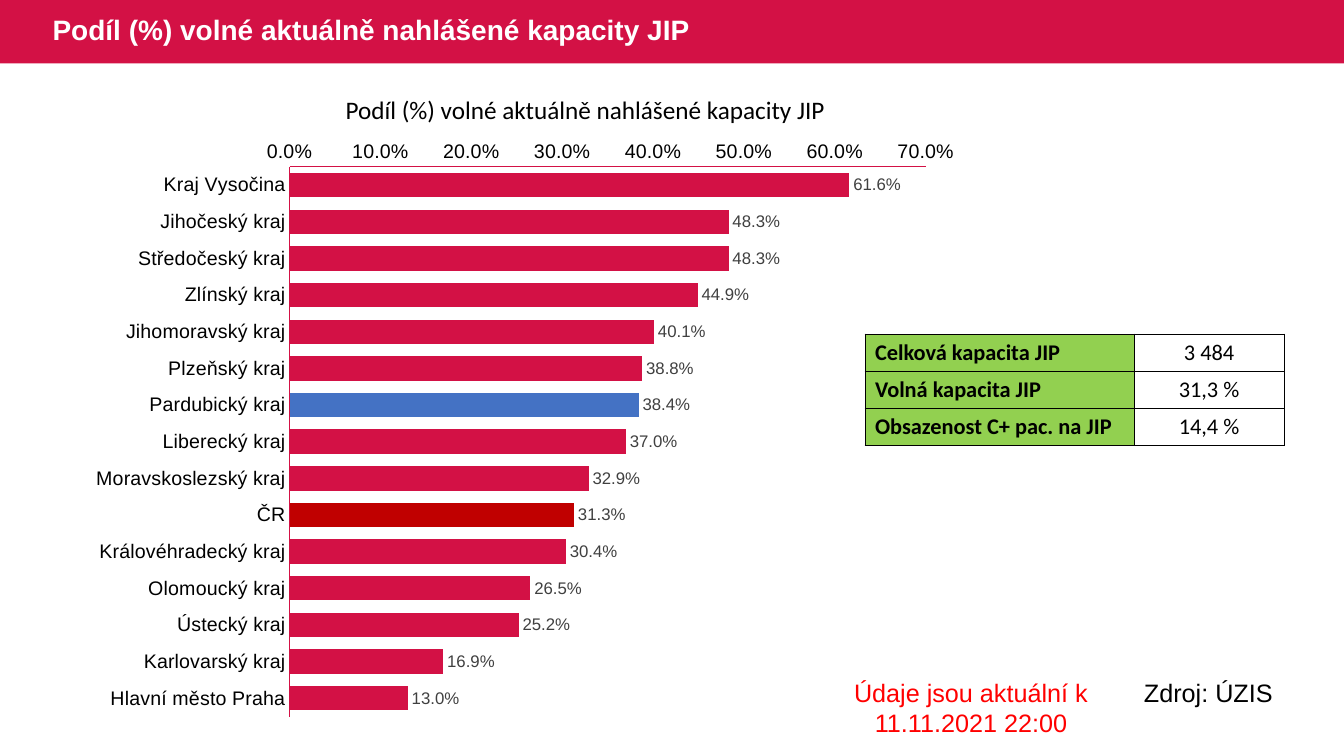
from dataclasses import dataclass

from lxml.etree import fromstring
from pptx import Presentation
from pptx.chart.data import CategoryChartData
from pptx.dml.color import RGBColor
from pptx.enum.chart import XL_CHART_TYPE as ChartType
from pptx.enum.chart import XL_LABEL_POSITION as LabelPosition
from pptx.enum.chart import XL_TICK_MARK as TickMark
from pptx.enum.shapes import MSO_SHAPE as Preset
from pptx.enum.text import MSO_ANCHOR as Anchor
from pptx.enum.text import MSO_AUTO_SIZE as AutoSize
from pptx.enum.text import PP_ALIGN as Align
from pptx.util import Cm, Pt


@dataclass(frozen=True)
class Theme:
    brand: str = "D31145"
    white: str = "FFFFFF"
    black: str = "000000"
    alert: str = "FF0000"
    label: str = "404040"
    table_header: str = "92D050"
    own_region: str = "4472C4"
    country: str = "C00000"
    sans: str = "Arial"
    body: str = "Calibri"
    title_size: int = 20
    text_size: int = 18
    table_size: int = 16
    axis_size: int = 14
    label_size: int = 12
    line_width: float = 0.75


THEME = Theme()
HEADING = "Podíl (%) volné aktuálně nahlášené kapacity JIP"
CAPACITY = {
    "Kraj Vysočina": 0.616,
    "Jihočeský kraj": 0.483,
    "Středočeský kraj": 0.483,
    "Zlínský kraj": 0.449,
    "Jihomoravský kraj": 0.401,
    "Plzeňský kraj": 0.388,
    "Pardubický kraj": 0.384,
    "Liberecký kraj": 0.37,
    "Moravskoslezský kraj": 0.329,
    "ČR": 0.313,
    "Královéhradecký kraj": 0.304,
    "Olomoucký kraj": 0.265,
    "Ústecký kraj": 0.252,
    "Karlovarský kraj": 0.169,
    "Hlavní město Praha": 0.13,
}
HIGHLIGHTS = {"Pardubický kraj": THEME.own_region, "ČR": THEME.country}
SUMMARY = [
    ("Celková kapacita JIP", "3 484"),
    ("Volná kapacita JIP", "31,3 %"),
    ("Obsazenost C+ pac. na JIP", "14,4 %"),
]
PERCENT = "0.0%"
CHART_NS = "http://schemas.openxmlformats.org/drawingml/2006/chart"
DRAWING_NS = "http://schemas.openxmlformats.org/drawingml/2006/main"


def set_attributes(target, values):
    for name, value in values.items():
        setattr(target, name, value)


def format_font(font, size, color=THEME.black, name=THEME.sans, bold=False):
    set_attributes(font, {"size": Pt(size), "name": name, "bold": bold})
    font.color.rgb = RGBColor.from_string(color)


def fill_solid(fill, color):
    fill.solid()
    fill.fore_color.rgb = RGBColor.from_string(color)


def add_title(slide):
    """Fill the title placeholder and put the coloured band behind it."""
    title = slide.shapes.title
    set_attributes(title, {"left": Cm(1.07), "top": Cm(0),
                           "width": Cm(29.36), "height": Cm(1.6)})
    frame = title.text_frame
    set_attributes(frame, {"text": HEADING, "vertical_anchor": Anchor.MIDDLE,
                           "auto_size": AutoSize.NONE, "word_wrap": True})
    paragraph = frame.paragraphs[0]
    set_attributes(paragraph, {"alignment": Align.LEFT, "line_spacing": 0.9})
    format_font(paragraph.runs[0].font, THEME.title_size, THEME.white, bold=True)

    band = slide.shapes.add_shape(Preset.RECTANGLE, Cm(0), Cm(0), Cm(33.87), Cm(1.6))
    band.shadow.inherit = False
    fill_solid(band.fill, THEME.brand)
    band.line.fill.background()
    title.element.addprevious(band.element)


def add_text(slide, text, box, color=THEME.black, font=THEME.sans,
             align=Align.LEFT, wrap=True):
    frame = slide.shapes.add_textbox(*map(Cm, box)).text_frame
    set_attributes(frame, {"text": text, "word_wrap": wrap,
                           "auto_size": AutoSize.SHAPE_TO_FIT_TEXT})
    paragraph = frame.paragraphs[0]
    paragraph.alignment = align
    format_font(paragraph.runs[0].font, THEME.text_size, color, font)


def format_axis(axis):
    set_attributes(axis, {"has_major_gridlines": False,
                          "major_tick_mark": TickMark.NONE,
                          "minor_tick_mark": TickMark.NONE})
    format_font(axis.tick_labels.font, THEME.axis_size)
    axis.format.line.width = Pt(THEME.line_width)
    axis.format.line.color.rgb = RGBColor.from_string(THEME.brand)


def place_plot_area(chart, **fractions):
    """Fix the inner plot area as fractions of the chart frame."""
    sizes = "".join(f'<c:{key} val="{value}"/>' for key, value in fractions.items())
    layout = fromstring(
        f'<c:layout xmlns:c="{CHART_NS}"><c:manualLayout><c:layoutTarget val="inner"/>'
        f'<c:xMode val="edge"/><c:yMode val="edge"/>{sizes}</c:manualLayout></c:layout>')
    plot_area = chart.element.find(f".//{{{CHART_NS}}}plotArea")
    for automatic in plot_area.findall(f"{{{CHART_NS}}}layout"):
        plot_area.remove(automatic)
    plot_area.insert(0, layout)


def add_capacity_chart(slide):
    data = CategoryChartData(number_format=PERCENT)
    data.categories = list(CAPACITY)
    data.add_series("Series 1", CAPACITY.values())
    chart = slide.shapes.add_chart(ChartType.BAR_CLUSTERED, Cm(1.88), Cm(3.3),
                                   Cm(22.58), Cm(15.06), data).chart
    set_attributes(chart, {"has_legend": False, "has_title": False})
    format_font(chart.font, THEME.label_size)
    place_plot_area(chart, x=0.24, y=0.06, w=0.71, h=0.92)

    for axis in (chart.category_axis, chart.value_axis):
        format_axis(axis)
    chart.category_axis.reverse_order = True
    set_attributes(chart.value_axis, {"minimum_scale": 0, "maximum_scale": 0.7,
                                      "major_unit": 0.1})
    set_attributes(chart.value_axis.tick_labels,
                   {"number_format": PERCENT, "number_format_is_linked": False})

    plot = chart.plots[0]
    set_attributes(plot, {"gap_width": 50, "vary_by_categories": False,
                          "has_data_labels": True})
    set_attributes(plot.data_labels, {
        "show_value": True, "number_format": PERCENT,
        "number_format_is_linked": False, "position": LabelPosition.OUTSIDE_END})
    format_font(plot.data_labels.font, THEME.label_size, THEME.label)

    series = plot.series[0]
    fill_solid(series.format.fill, THEME.brand)
    for index, region in enumerate(CAPACITY):
        if region in HIGHLIGHTS:
            fill_solid(series.points[index].format.fill, HIGHLIGHTS[region])


def add_borders(cell):
    properties = cell._tc.get_or_add_tcPr()
    for index, side in enumerate("LRTB"):
        properties.insert(index, fromstring(
            f'<a:ln{side} xmlns:a="{DRAWING_NS}" w="{Pt(THEME.line_width)}"><a:solidFill>'
            f'<a:srgbClr val="{THEME.black}"/></a:solidFill></a:ln{side}>'))


def add_summary_table(slide):
    table = slide.shapes.add_table(len(SUMMARY), 2, Cm(21.8), Cm(8.42),
                                   Cm(10.56), Cm(2.79)).table
    for column, width in zip(table.columns, (6.78, 3.78)):
        column.width = Cm(width)
    for row, texts in enumerate(SUMMARY):
        for column, text in enumerate(texts):
            is_header = column == 0
            cell = table.cell(row, column)
            set_attributes(cell, {"text": text, "vertical_anchor": Anchor.MIDDLE})
            fill_solid(cell.fill, THEME.table_header if is_header else THEME.white)
            add_borders(cell)
            paragraph = cell.text_frame.paragraphs[0]
            paragraph.alignment = Align.LEFT if is_header else Align.CENTER
            format_font(paragraph.runs[0].font, THEME.table_size,
                        name=THEME.body, bold=is_header)


def main():
    presentation = Presentation()
    set_attributes(presentation, {"slide_width": Cm(33.87), "slide_height": Cm(19.05)})
    slide = presentation.slides.add_slide(presentation.slide_layouts[5])
    add_title(slide)
    add_capacity_chart(slide)
    add_text(slide, HEADING, (8.46, 2.26, 13.03, 1.02), font=THEME.body, wrap=False)
    add_text(slide, "Údaje jsou aktuální k 11.11.2021 22:00", (21.23, 16.94, 6.48, 1.8),
             color=THEME.alert, align=Align.CENTER)
    add_text(slide, "Zdroj: ÚZIS", (28.58, 16.94, 5.29, 1.02))
    add_summary_table(slide)
    presentation.save("out.pptx")


if __name__ == "__main__":
    main()
